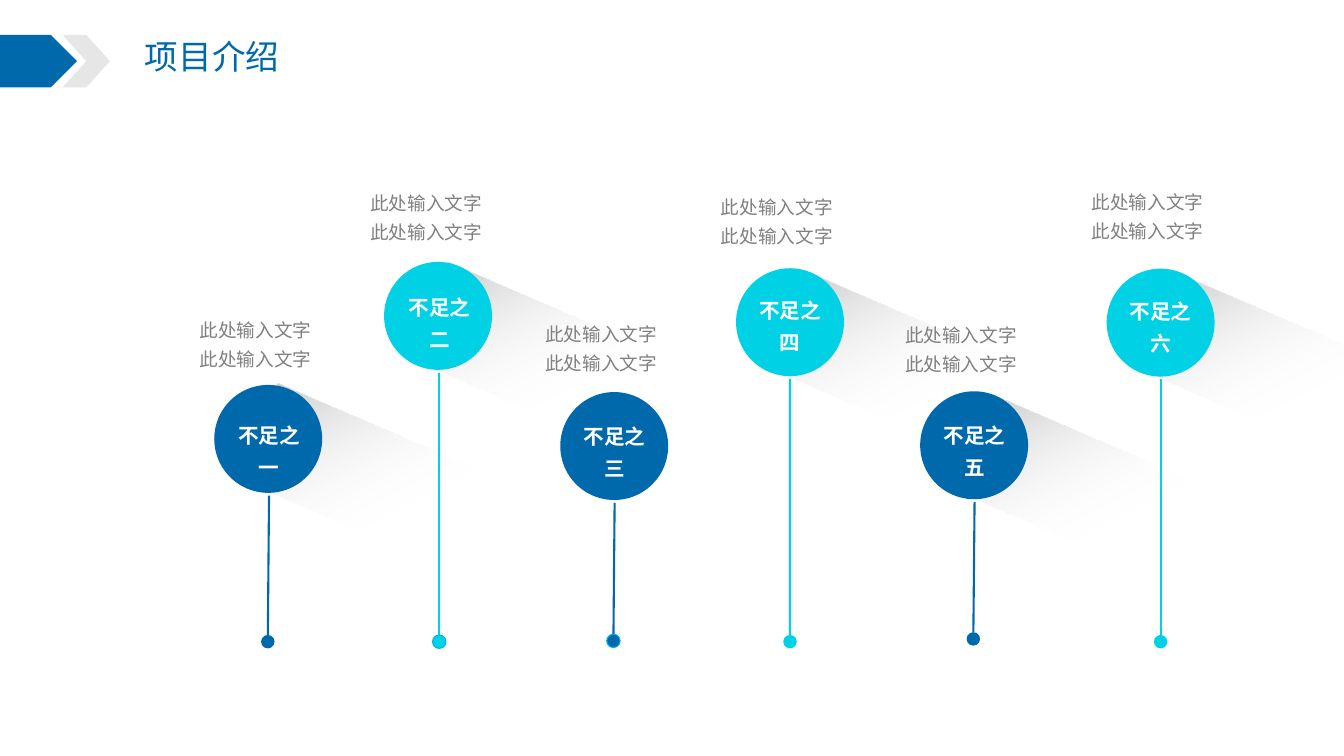
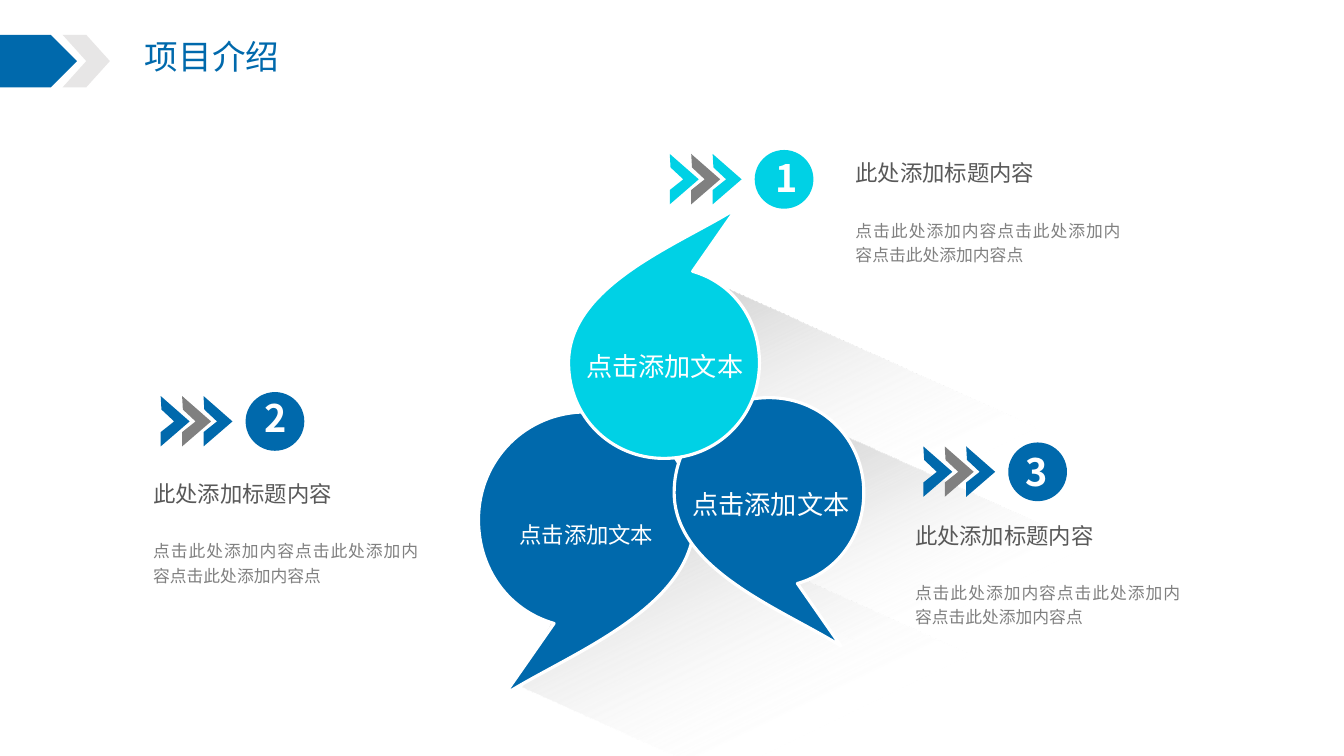
from dataclasses import dataclass
from typing import Optional

from lxml.etree import SubElement
from pptx import Presentation
from pptx.dml.color import RGBColor
from pptx.enum.shapes import MSO_CONNECTOR, MSO_SHAPE
from pptx.enum.text import MSO_ANCHOR, MSO_AUTO_SIZE, PP_ALIGN
from pptx.oxml import parse_xml
from pptx.oxml.ns import nsdecls, qn
from pptx.shapes.autoshape import Shape
from pptx.slide import Slide
from pptx.util import Cm, Pt

FONT = "Noto Sans CJK SC"
BLUE, CYAN, SKY = "0069AC", "00D1E5", "00B0F0"
WHITE, PALE, GREY, DARK = "FFFFFF", "E7E6E6", "808080", "595959"
CIRCLE, DOT = 2.72, 0.34

Point = tuple[float, float]
Box = tuple[float, float, float, float]


@dataclass
class Pin:
    """A labelled circle standing on a stem; positions in centimetres."""
    name: str
    color: str
    circle: Point
    label: Point
    caption: Point
    dot: Point
    shade: Optional[Point] = None
    dot_line: Optional[str] = None
    lean: float = 0


@dataclass
class Bubble:
    """A speech bubble, mirrored as needed, with its label box."""
    color: str
    x: float
    y: float
    width: float
    label: Box
    size: float = 18.7
    flip_x: bool = False
    flip_y: bool = False


@dataclass
class Step:
    """A numbered badge with a heading and body text."""
    number: str
    color: str
    badge: Point
    digit: Point
    text: Point


PINS = [
    Pin("一", BLUE, (5.4, 9.7), (5.84, 10.38), (4.78, 7.74), (6.58, 16), (6.17, 11.13), lean=0.03),
    Pin("二", CYAN, (9.68, 6.6), (10.14, 7.16), (9.08, 4.55), (10.9, 16), (10.46, 8.08), SKY),
    Pin("三", BLUE, (14.12, 9.88), (14.55, 10.41), (13.49, 7.85), (15.29, 15.98), None, SKY, 0.03),
    Pin("四", CYAN, (18.55, 6.76), (18.97, 7.25), (17.92, 4.65), (19.74, 16), (19.48, 8.31)),
    Pin("五", BLUE, (23.19, 9.86), (23.62, 10.38), (22.56, 7.88), (24.36, 15.93), (24.16, 11.4), lean=0.03),
    Pin("六", CYAN, (27.89, 6.77), (28.31, 7.27), (27.26, 4.52), (29.08, 16), (28.73, 8.31)),
]
SHADES = [
    (19.41, 12.52, 9.58, 4.57),
    (13.67, 15.01, 13.79, 5.38),
    (15.82, 9.47, 13.79, 4.6),
]
BUBBLES = [
    Bubble(BLUE, 12.06, 10.38, 5.44, (12.81, 12.66, 3.94, 1.27), size=16),
    Bubble(BLUE, 16.99, 10.02, 4.78, (17.18, 11.79, 4.5, 1.45), flip_x=True),
    Bubble(CYAN, 14.33, 5.25, 4.81, (14.5, 8.31, 4.5, 1.45), flip_x=True, flip_y=True),
]
STEPS = [
    Step("1", CYAN, (16.88, 3.88), (18.8, 3.78), (21.31, 3.89)),
    Step("2", BLUE, (4.05, 9.98), (5.94, 9.83), (3.61, 11.97)),
    Step("3", BLUE, (23.27, 11.25), (25.12, 11.18), (22.81, 13.02)),
]
ARROW = [(0.02, 0.34), (0, 0), (0.73, 0.64), (0, 1.27), (0, 0.91), (0.34, 0.64), (0.02, 0.34)]
BUBBLE_HEIGHT = 1.31
BUBBLE_START = (0.5, 0)
BUBBLE_CURVES = [
    [(0.22, 0), (0, 0.22), (0, 0.5)],
    [(0, 0.73), (0.14, 0.92), (0.35, 0.98)],
    [(0.12, 1.31), (0.12, 1.31), (0.12, 1.31)],
    [(0.42, 1.12), (1, 0.91), (1, 0.5)],
    [(1, 0.22), (0.78, 0), (0.5, 0)],
]


def rgb(color: str) -> RGBColor:
    """Turn a hex string into a colour."""
    return RGBColor.from_string(color)


def cm(*values: float) -> list[Cm]:
    """Turn numbers into centimetre lengths."""
    return [Cm(v) for v in values]


def write(sp: Shape, text: str, *, size: float, color: str, bold: bool = False,
          align: PP_ALIGN = PP_ALIGN.LEFT, anchor: MSO_ANCHOR = MSO_ANCHOR.TOP,
          spacing: Optional[float] = None, wrap: bool = True, inset: bool = True) -> None:
    """Put formatted text into a shape, one paragraph per line."""
    tf = sp.text_frame
    tf.auto_size = MSO_AUTO_SIZE.NONE
    tf.word_wrap, tf.vertical_anchor = wrap, anchor
    if not inset:
        tf.margin_left = tf.margin_right = tf.margin_top = tf.margin_bottom = 0
    for i, line in enumerate(text.split("\n")):
        p = tf.paragraphs[0] if i == 0 else tf.add_paragraph()
        p.alignment = align
        if spacing:
            p.line_spacing = spacing
        r = p.add_run()
        r.text = line
        r.font.size, r.font.bold, r.font.name = Pt(size), bold, FONT
        r.font.color.rgb = rgb(color)
        SubElement(r.font._element, qn("a:ea"), typeface=FONT)


def add_text(s: Slide, box: Box, text: str, **style) -> None:
    """Add a text box."""
    write(s.shapes.add_textbox(*cm(*box)), text, **style)


def paint(sp: Shape, fill: str, line: Optional[str] = None, width: float = 0.75) -> Shape:
    """Give a shape a flat fill and an optional outline."""
    sp.shadow.inherit = False
    sp.fill.solid()
    sp.fill.fore_color.rgb = rgb(fill)
    if line:
        sp.line.color.rgb = rgb(line)
        sp.line.width = Pt(width)
    else:
        sp.line.fill.background()
    return sp


def add_shape(s: Slide, kind: MSO_SHAPE, box: Box, fill: str,
              line: Optional[str] = None) -> Shape:
    """Add a painted preset shape."""
    return paint(s.shapes.add_shape(kind, *cm(*box)), fill, line)


def add_outline(s: Slide, points: list[Point]) -> Shape:
    """Add a closed freeform through points in centimetres."""
    start, *rest = [tuple(cm(*pt)) for pt in points]
    builder = s.shapes.build_freeform(*start)
    builder.add_line_segments(rest, close=True)
    return builder.convert_to_shape()


def add_shade(s: Slide, box: Box, rotation: float) -> None:
    """Add a slanted rectangle fading from grey to clear."""
    sp = add_shape(s, MSO_SHAPE.RECTANGLE, box, WHITE)
    sp.rotation = rotation
    solid = sp._element.spPr.find(qn("a:solidFill"))
    solid.getparent().replace(solid, parse_xml(
        f'<a:gradFill rotWithShape="1" {nsdecls("a")}><a:gsLst>'
        '<a:gs pos="0"><a:srgbClr val="BFBFBF"/></a:gs>'
        '<a:gs pos="54000"><a:srgbClr val="FFFFFF"><a:alpha val="0"/></a:srgbClr></a:gs>'
        '</a:gsLst><a:lin ang="2400000" scaled="0"/></a:gradFill>'))


def add_titled_slide(prs: Presentation, title: str) -> Slide:
    """Add a slide with the shared header band and title."""
    s = prs.slides.add_slide(prs.slide_layouts[5])
    sp = s.shapes.title
    sp.left, sp.top, sp.width, sp.height = cm(3.4, 0.77, 3.94, 1.27)
    write(sp, title, size=24, color=BLUE, wrap=False)
    add_shape(s, MSO_SHAPE.PENTAGON, (0, 0.88, 1.94, 1.32), BLUE)
    add_shape(s, MSO_SHAPE.CHEVRON, (1.58, 0.88, 1.19, 1.32), PALE)
    return s


def add_pin(s: Slide, pin: Pin) -> None:
    """Draw a circle with its label, caption, stem and dot."""
    add_shape(s, MSO_SHAPE.OVAL, (*pin.circle, CIRCLE, CIRCLE), pin.color)
    dot = add_shape(s, MSO_SHAPE.ROUNDED_RECTANGLE, (*pin.dot, DOT, DOT),
                    pin.color, pin.dot_line)
    dot.adjustments[0] = 0.5
    x, y = pin.dot[0] + DOT / 2, pin.circle[1] + CIRCLE + 0.07
    stem = s.shapes.add_connector(MSO_CONNECTOR.STRAIGHT, *cm(x + pin.lean, y, x, pin.dot[1]))
    stem.end_connect(dot, 0)
    stem.line.color.rgb = rgb(pin.color)
    stem.line.width = Pt(1.5)
    SubElement(stem._element.spPr, qn("a:effectLst"))
    add_text(s, (*pin.label, 1.88, 1.78), f"不足之{pin.name}", size=14.7, color=WHITE,
             bold=True, align=PP_ALIGN.CENTER, anchor=MSO_ANCHOR.MIDDLE, spacing=1.3, inset=False)
    add_text(s, (*pin.caption, 3.99, 1.73), "此处输入文字\n此处输入文字",
             size=13.3, color=GREY, spacing=1.3)


def add_bubble(s: Slide, b: Bubble) -> None:
    """Draw a speech bubble with curved sides and its label."""
    def place(pt: Point) -> Point:
        """Mirror and scale a unit point."""
        x = 1 - pt[0] if b.flip_x else pt[0]
        y = BUBBLE_HEIGHT - pt[1] if b.flip_y else pt[1]
        return b.x + x * b.width, b.y + y * b.width

    sp = add_outline(s, [place(pt) for pt in (BUBBLE_START, *(c[-1] for c in BUBBLE_CURVES))])
    for line, curve in zip(list(sp._element.iter(qn("a:lnTo"))), BUBBLE_CURVES):
        cubic = parse_xml(f'<a:cubicBezTo {nsdecls("a")}/>')
        for x, y in (cm(*place(pt)) for pt in curve):
            SubElement(cubic, qn("a:pt"), x=str(x - sp.left), y=str(y - sp.top))
        line.getparent().replace(line, cubic)
    paint(sp, b.color, WHITE, 2.25)
    add_text(s, b.label, "点击添加文本", size=b.size, color=WHITE,
             align=PP_ALIGN.CENTER, spacing=1.5, wrap=False)


def add_step(s: Slide, step: Step) -> None:
    """Draw three arrows, a numbered badge and the step's text."""
    x, y = step.badge
    for i, color in enumerate((step.color, GREY, step.color)):
        paint(add_outline(s, [(x + 0.54 * i + dx, y + dy) for dx, dy in ARROW]), color)
    add_shape(s, MSO_SHAPE.OVAL, (x + 2.14, y - 0.1, 1.48, 1.48), step.color)
    add_text(s, (*step.digit, 2.03, 1.42), step.number, size=27, color=WHITE,
             bold=True, align=PP_ALIGN.CENTER)
    x, y = step.text
    add_text(s, (x, y, 5.08, 0.94), "此处添加标题内容", size=16, color=DARK, wrap=False)
    add_text(s, (x, y + 1.44, 7.19, 1.5), "点击此处添加内容" * 3 + "点", size=12,
             color=GREY, align=PP_ALIGN.JUSTIFY, spacing=1.2)


def build_pins(prs: Presentation) -> None:
    """Build the slide of six pins."""
    s = add_titled_slide(prs, "项目介绍")
    for pin in reversed(PINS):
        if pin.shade:
            add_shade(s, (*pin.shade, 7.9, 2.59), 23.3)
    for pin in PINS:
        add_pin(s, pin)


def build_bubbles(prs: Presentation) -> None:
    """Build the slide of three bubbles and steps."""
    s = add_titled_slide(prs, "项目介绍")
    for box in SHADES:
        add_shade(s, box, 24.2)
    for step in STEPS:
        add_step(s, step)
    for bubble in BUBBLES:
        add_bubble(s, bubble)


def main() -> None:
    """Build and save the presentation."""
    prs = Presentation()
    prs.slide_width, prs.slide_height = cm(33.87, 19.05)
    build_pins(prs)
    build_bubbles(prs)
    prs.save("out.pptx")


if __name__ == "__main__":
    main()
